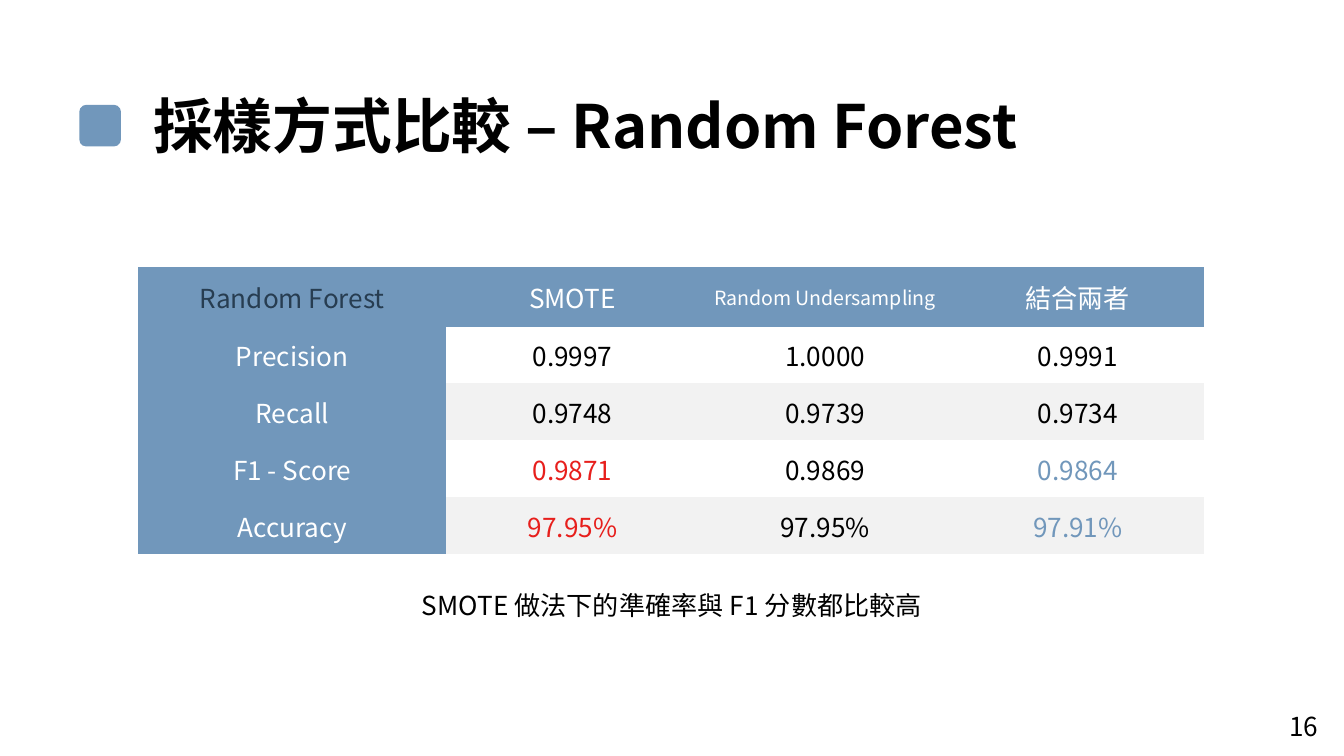
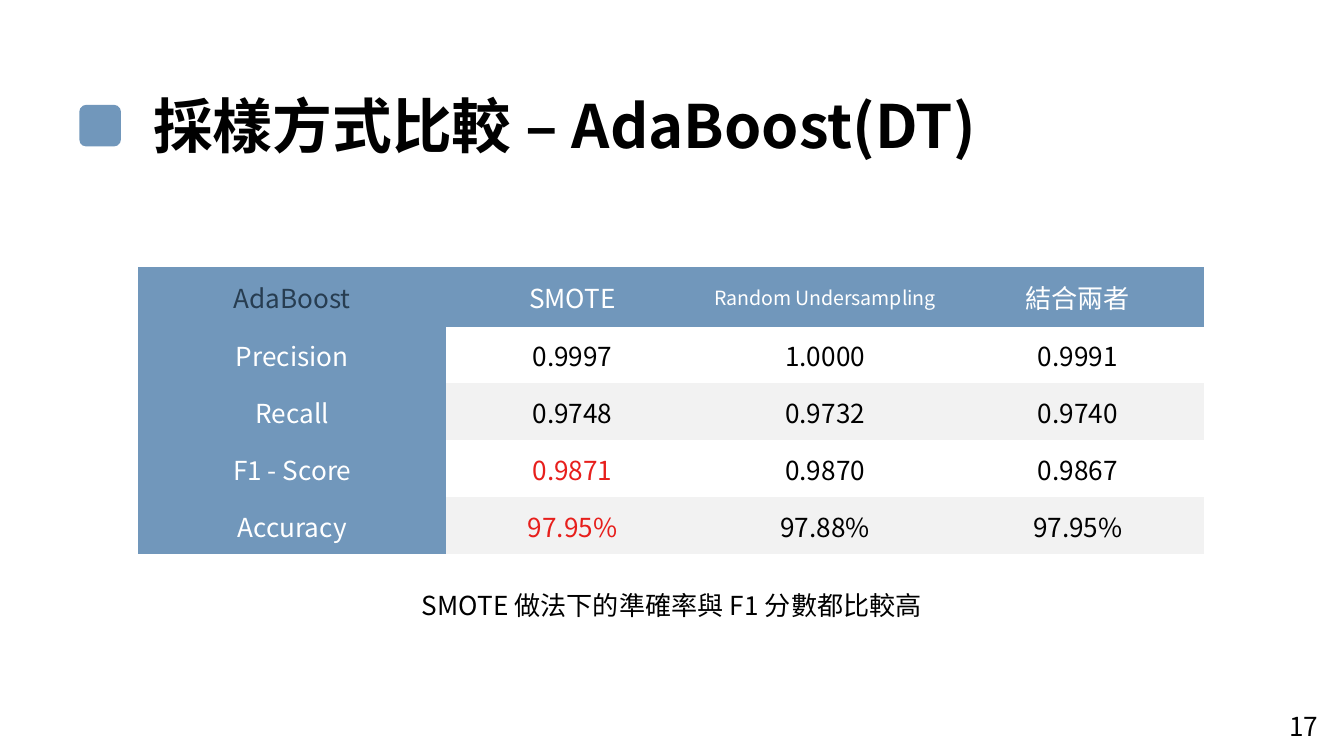
from lxml import etree
from pptx import Presentation
from pptx.dml.color import RGBColor
from pptx.enum.shapes import MSO_SHAPE
from pptx.enum.text import MSO_ANCHOR, PP_ALIGN
from pptx.oxml.ns import qn
from pptx.util import Inches, Pt

ROUNDED = MSO_SHAPE.ROUNDED_RECTANGLE
MIDDLE = MSO_ANCHOR.MIDDLE
LEFT, CENTER = PP_ALIGN.LEFT, PP_ALIGN.CENTER
WIDTH = Inches(10)
HEIGHT = WIDTH * 9 // 16
FONT = "Noto Sans CJK JP"
PLAIN_TABLE = "{2D5ABB26-0587-4C30-8999-92F81FD0307C}"
COLORS = {"blue": "7197BB", "navy": "273D51", "band": "F2F2F2",
          "white": "FFFFFF", "black": "000000", "red": "E71F1C"}
COLUMNS = [2.29, 1.88, 1.88, 1.88]
ROWS = [0.44] + [0.42] * 4
METHODS = ["SMOTE", "Random Undersampling", "結合兩者"]
CAPTION = "SMOTE 做法下的準確率與 F1 分數都比較高"
SLIDES = [
    {"number": 16, "title": "Random Forest", "model": "Random Forest",
     "marks": {1: "red", 3: "blue"},
     "scores": [["Precision", "0.9997", "1.0000", "0.9991"],
                ["Recall", "0.9748", "0.9739", "0.9734"],
                ["F1 - Score", "0.9871", "0.9869", "0.9864"],
                ["Accuracy", "97.95%", "97.95%", "97.91%"]]},
    {"number": 17, "title": "AdaBoost(DT)", "model": "AdaBoost",
     "marks": {1: "red"},
     "scores": [["Precision", "0.9997", "1.0000", "0.9991"],
                ["Recall", "0.9748", "0.9732", "0.9740"],
                ["F1 - Score", "0.9871", "0.9870", "0.9867"],
                ["Accuracy", "97.95%", "97.88%", "97.95%"]]},
]


def color(name):
    """Return a named colour."""
    return RGBColor.from_string(COLORS[name])


def write(frame, text, size=14, tint="black", bold=False, align=CENTER):
    """Write one formatted run into the first paragraph of a frame."""
    para = frame.paragraphs[0]
    para.alignment = align
    span = para.add_run()
    span.text = text
    span.font.size = Pt(size)
    span.font.bold = bold
    span.font.color.rgb = color(tint)
    span.font.name = FONT
    latin = span.font._element.find(qn("a:latin"))
    latin.addnext(etree.Element(qn("a:ea"), typeface=FONT))


def place(shape, left, top, width, height):
    """Position a shape, with lengths in inches."""
    shape.left, shape.top = Inches(left), Inches(top)
    shape.width, shape.height = Inches(width), Inches(height)


def set_frame(frame, bottom=0):
    """Wrap and centre a text frame above a given bottom margin."""
    frame.word_wrap = True
    frame.vertical_anchor = MIDDLE
    frame.margin_top, frame.margin_bottom = 0, Inches(bottom)


def add_title(page, text):
    """Fill the title placeholder and set the square marker before it."""
    title = page.shapes.title
    place(title, 1.04, 0.62, 8.41, 0.64)
    set_frame(title.text_frame, 0.03)
    write(title.text_frame, text, 32, bold=True, align=LEFT)
    marker = page.shapes.add_shape(ROUNDED, 0, 0, 0, 0)
    place(marker, 0.59, 0.78, 0.31, 0.31)
    marker.shadow.inherit = False
    marker.fill.solid()
    marker.fill.fore_color.rgb = color("blue")
    marker.line.fill.background()


def add_label(page, text, left, top, width, height):
    """Add a centred line of text."""
    box = page.shapes.add_textbox(0, 0, 0, 0)
    place(box, left, top, width, height)
    set_frame(box.text_frame)
    write(box.text_frame, text)


def cell_style(row, column, marks):
    """Return the fill and text colour names of a table cell."""
    if row == 0 or column == 0:
        return "blue", "navy" if row == column else "white"
    fill = "band" if row % 2 == 0 else None
    return fill, marks.get(column, "black") if row > 2 else "black"


def fill_cell(cell, text, fill, tint):
    """Write and colour one table cell."""
    cell.vertical_anchor = MIDDLE
    cell.margin_left = cell.margin_right = Inches(0.08)
    cell.margin_top = cell.margin_bottom = Inches(0.07)
    if fill:
        cell.fill.solid()
        cell.fill.fore_color.rgb = color(fill)
    else:
        cell.fill.background()
    write(cell.text_frame, text, 10.5 if text == METHODS[1] else 14, tint)


def add_scores(page, model, scores, marks):
    """Add the table of scores by sampling method."""
    grid = [[model, *METHODS], *scores]
    table = page.shapes.add_table(
        len(ROWS), len(COLUMNS), Inches(1.03), Inches(1.99),
        Inches(sum(COLUMNS)), Inches(sum(ROWS))).table
    table.horz_banding = False
    table._tbl.tblPr.find(qn("a:tableStyleId")).text = PLAIN_TABLE
    for column, width in zip(table.columns, COLUMNS):
        column.width = Inches(width)
    for row, (height, texts) in enumerate(zip(ROWS, grid)):
        table.rows[row].height = Inches(height)
        for column, text in enumerate(texts):
            fill_cell(table.cell(row, column), text,
                      *cell_style(row, column, marks))


def main():
    """Build and save the deck."""
    deck = Presentation()
    deck.slide_width, deck.slide_height = WIDTH, HEIGHT
    for content in SLIDES:
        page = deck.slides.add_slide(deck.slide_layouts[5])
        add_title(page, f"採樣方式比較 – {content['title']}")
        add_scores(page, content["model"], content["scores"], content["marks"])
        add_label(page, CAPTION, 0, 4.33, 10, 0.34)
        add_label(page, str(content["number"]), 9.4, 5.19, 0.6, 0.43)
    deck.save("out.pptx")


if __name__ == "__main__":
    main()
